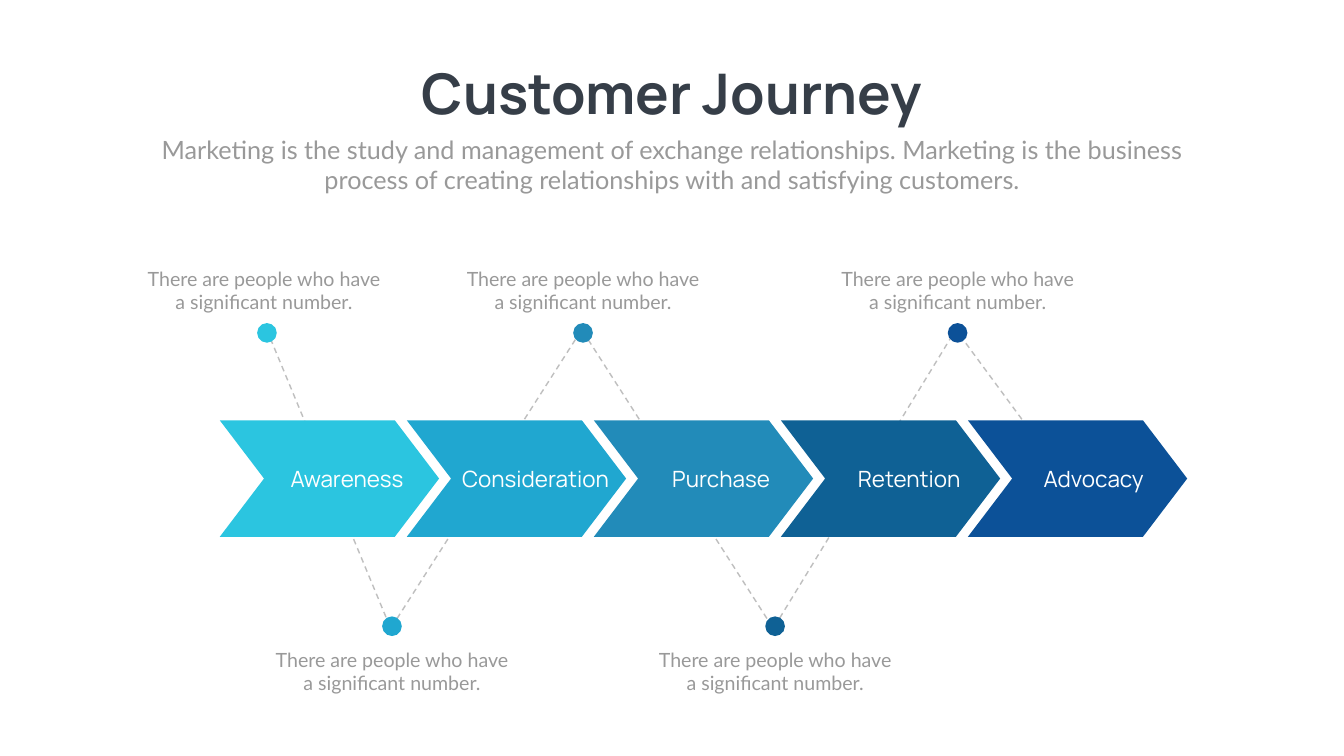
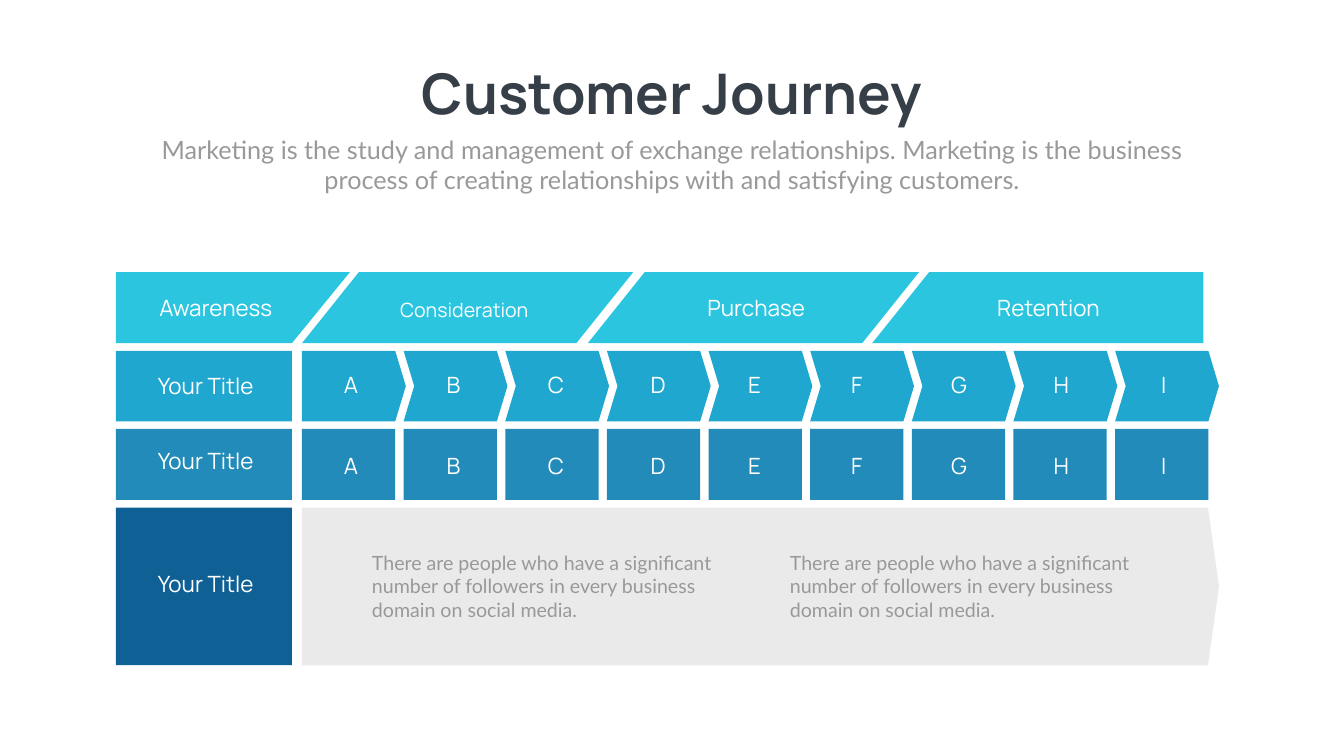
from pptx import Presentation
from pptx import util as u
from pptx.dml.color import RGBColor
from pptx.enum import dml, shapes, text

Inches = u.Inches
SHAPE = shapes.MSO_SHAPE
CENTER, LEFT = text.PP_ALIGN.CENTER, text.PP_ALIGN.LEFT

# Shared look
CYAN, SKY, BLUE, DEEP, NAVY = "2BC5E0", "20A7D0", "228BB9", "0F6195", "0C5198"
DARK, GRAY, PALE, DASH, WHITE = "363E48", "999999", "EAEAEA", "BFBFBF", "FFFFFF"
HEAD, BODY = "Manrope", "Lato"
TITLE = "Customer Journey"
SUBTITLE = ("Marketing is the study and management of exchange relationships. "
            "Marketing is the business process of creating relationships "
            "with and satisfying customers.")


def draw(s, kind, x, y, w, h, color, adj=None):
    """Add a flat preset shape, or an outline when kind is a list of points."""
    if isinstance(kind, list):
        points = [(Inches(px), Inches(py)) for px, py in kind]
        builder = s.shapes.build_freeform(*points[0], scale=1.0)
        builder.add_line_segments(points[1:], close=True)
        sp = builder.convert_to_shape()
    else:
        sp = s.shapes.add_shape(kind, Inches(x), Inches(y), Inches(w), Inches(h))
    if adj is not None:
        sp.adjustments[0] = adj
    sp.shadow.inherit = False
    sp.fill.solid()
    sp.fill.fore_color.rgb = RGBColor.from_string(color)
    sp.line.fill.background()


def write(s, words, x, y, w, h, size, font, color, align=CENTER, sp=None):
    """Fill a new text box, or the given placeholder, with one run."""
    sp = sp or s.shapes.add_textbox(0, 0, 0, 0)
    sp.left, sp.top, sp.width, sp.height = Inches(x), Inches(y), Inches(w), Inches(h)
    tf = sp.text_frame
    tf.word_wrap = True
    tf.auto_size = text.MSO_AUTO_SIZE.NONE
    tf.vertical_anchor = text.MSO_ANCHOR.TOP
    p = tf.paragraphs[0]
    p.alignment = align
    r = p.add_run()
    r.text = words
    r.font.size = u.Pt(size)
    r.font.name = font
    r.font.bold = words == TITLE
    r.font.color.rgb = RGBColor.from_string(color)


prs = Presentation()
prs.slide_width, prs.slide_height = Inches(26.66), Inches(15)

# Both slides: title and subtitle
for _ in range(2):
    s = prs.slides.add_slide(prs.slide_layouts[5])
    write(s, TITLE, 7.85, 1.12, 10.96, 1.45, 80, HEAD, DARK, sp=s.shapes.title)
    write(s, SUBTITLE, 2.92, 2.61, 20.82, 1.31, 36, BODY, GRAY)
journey, matrix = prs.slides

# Slide 1: dashed zigzag behind the arrows
s = journey
zigzag = [(5.29, 6.54), (7.75, 12.47), (11.54, 6.54), (15.34, 12.47),
          (18.96, 6.54), (21.5, 9.99)]
points = [(Inches(x), Inches(y)) for x, y in zigzag]
builder = s.shapes.build_freeform(*points[0], scale=1.0)
builder.add_line_segments(points[1:], close=False)
sp = builder.convert_to_shape()
sp.shadow.inherit = False
sp.fill.background()
sp.line.color.rgb = RGBColor.from_string(DASH)
sp.line.width = u.Pt(2)
sp.line.dash_style = dml.MSO_LINE.DASH

# Stages: arrow and label, with dot and note alternating above and below
stages = [  # name, color, label left, dot left, note left
    ("Awareness", CYAN, 5.1, 5.1, 2.69),
    ("Consideration", SKY, 8.84, 7.58, 5.23),
    ("Purchase", BLUE, 12.52, 11.37, 9.02),
    ("Retention", DEEP, 16.25, 15.18, 12.83),
    ("Advocacy", NAVY, 19.91, 18.8, 16.45),
]
for i, (name, color, label_x, dot_x, note_x) in enumerate(stages):
    dot_y, note_y = (6.41, 5.24) if i % 2 == 0 else (12.23, 12.8)
    draw(s, SHAPE.OVAL, dot_x, dot_y, 0.39, 0.39, color)
    draw(s, SHAPE.CHEVRON, 4.36 + 3.71 * i, 8.34, 4.35, 2.31, color, 0.38)
    write(s, name, label_x, 9.18, 3.57, 0.64, 32, HEAD, WHITE)
    write(s, "There are people who have a significant number.",
          note_x, note_y, 5.09, 1.04, 28, BODY, GRAY)

# Slide 2: slanted phase band
s = matrix
top, bottom = 5.4, 6.81
draw(s, [(2.3, top), (6.94, top), (5.79, bottom), (2.3, bottom)], 0, 0, 0, 0, CYAN)
for x in (5.99, 11.66):
    draw(s, SHAPE.PARALLELOGRAM, x, top, 6.57, bottom - top, CYAN, 0.8)
draw(s, [(18.43, top), (23.87, top), (23.87, bottom), (17.3, bottom)], 0, 0, 0, 0, CYAN)
for name, x, y, h, size in [("Awareness", 2.23, 5.78, 0.64, 32),
                            ("Consideration", 7.16, 5.86, 0.57, 28),
                            ("Purchase", 12.95, 5.78, 0.64, 32),
                            ("Retention", 18.75, 5.78, 0.64, 32)]:
    write(s, name, x, y, 4.1, h, size, HEAD, WHITE)

# Row titles
for y, h, color, label_y in [(6.96, 1.4, SKY, 7.34), (8.51, 1.41, BLUE, 8.82),
                             (10.07, 3.13, DEEP, 11.26)]:
    draw(s, SHAPE.RECTANGLE, 2.3, y, 3.49, h, color)
    write(s, "Your Title", 2.03, label_y, 4.1, 0.64, 32, HEAD, WHITE)

# Lettered arrows and the boxes below them
step = (22.12 - 5.99) / 8
for i, letter in enumerate("ABCDEFGHI"):
    x = 5.99 + step * i
    arrow = SHAPE.CHEVRON if i else SHAPE.PENTAGON
    draw(s, arrow, x, 6.96, 2.06, 1.4, SKY, 0.15)
    draw(s, SHAPE.RECTANGLE, x, 8.51, 1.85, 1.41, BLUE)
    letter_x = 6.18 + 2.03 * i if i < 4 else 14.18 + 2.03 * (i - 4)
    for y in (7.32, 8.92):
        write(s, letter, letter_x, y, 1.57, 0.64, 32, HEAD, WHITE)

# Wide arrow with two notes
draw(s, SHAPE.PENTAGON, 5.99, 10.07, 18.19, 3.13, PALE, 0.07)
for x in (7.28, 15.57):
    write(s, "There are people who have a significant number of followers "
          "in every business domain on social media.",
          x, 10.88, 7.18, 1.51, 28, BODY, GRAY, LEFT)

prs.save("out.pptx")
